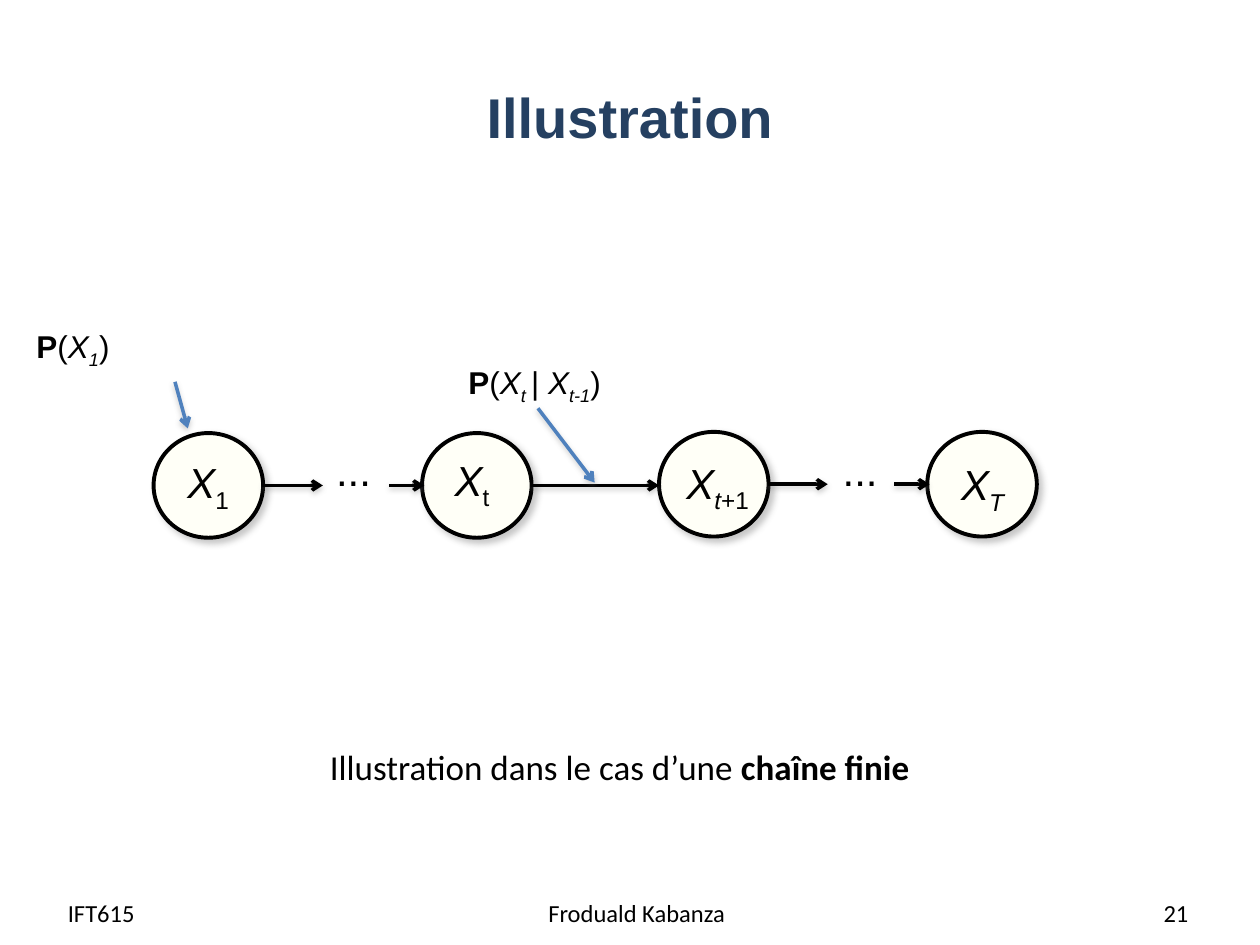
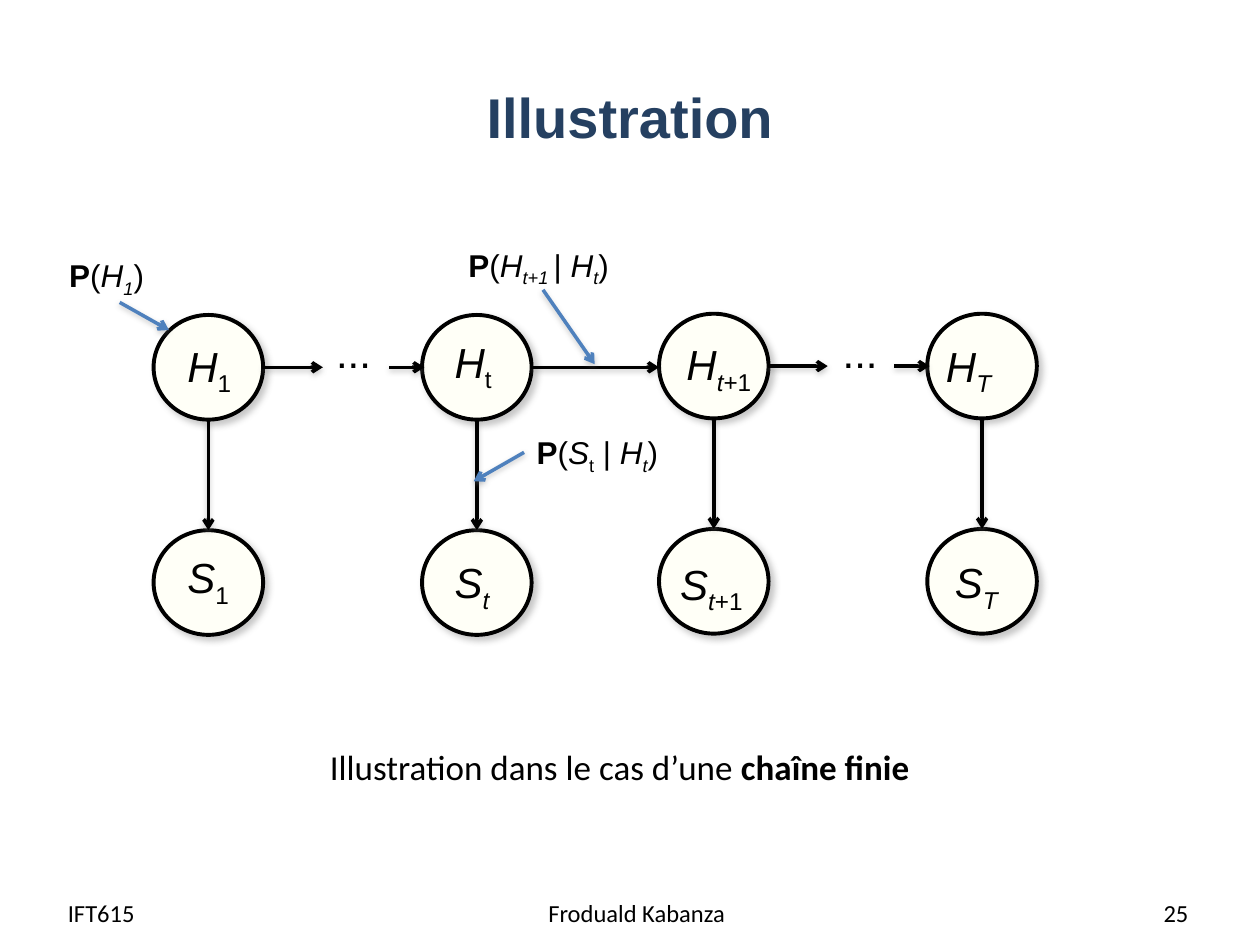
from lxml.etree import SubElement
from pptx import Presentation
from pptx.dml.color import RGBColor
from pptx.enum.shapes import MSO_CONNECTOR as CONNECTOR, MSO_SHAPE as SHAPE
from pptx.enum.text import MSO_ANCHOR as ANCHOR, PP_ALIGN as ALIGN
from pptx.oxml.ns import qn
from pptx.util import Pt

COLORS = {"title": "254061", "ink": "000000", "node": "FFFFF7",
          "pointer": "4F81BD", "shadow": "808080"}
COLORS = {name: RGBColor.from_string(value) for name, value in COLORS.items()}

# Shared geometry of the chain, in points
NODE_WIDTH, NODE_HEIGHT = 62.6, 59.8
COLUMNS = [(87.8, 0), (241.2, 0), (376.6, -0.7), (529.9, -0.7)]  # left, lift
LINKS = [(150, 184.5, 0), (222.5, 242.5, 0), (303.6, 376.6, 0),
         (438.6, 473, -0.7), (511, 531.2, -0.7)]  # start, end, lift
DOTS = [185, 474.5]
LABEL_WIDTH = 54.7

# Run styles: b bold, i italic, _ subscript
ONE, SMALL_T, ITALIC_T = [("1", "_")], [("t", "_")], [("t", "i_")]
NEXT_T, LAST_T = [("t", "i_"), ("+1", "_")], [("T", "i_")]
CAPTION = [("Illustration dans le cas d’une ", ""), ("chaîne finie", "b")]

# Rows: letter, top, then left, offset from the row top and index of each label
# Callouts: left, top, width, runs. Pointers: start and end
SLIDES = [
    {
        "number": "21",
        "rows": [("X", 247.5, [(100, 10.1, ONE), (252.7, 8.6, SMALL_T),
                               (385.2, 10.3, NEXT_T), (542.2, 11, LAST_T)])],
        "callouts": [
            (260.6, 203.8, 93.6, [("X", "i"), ("t ", "i_"), ("| ", ""), ("X", "i"), ("t-1", "i_")]),
            (13.7, 183.6, 57.6, [("X", "i"), ("1", "i_")]),
        ],
        "pointers": [(100, 218.2, 107.3, 244.8), (307.4, 233.3, 339.8, 275.8)],
    },
    {
        "number": "25",
        "rows": [("H", 180, [(100, 10.8, ONE), (252.7, 8.6, SMALL_T),
                             (385.2, 10.1, NEXT_T), (533.5, 10.8, LAST_T)]),
                 ("S", 303, [(100, 8.8, ONE), (252.7, 11.6, ITALIC_T),
                             (381.6, 12.4, NEXT_T), (538.6, 11.6, LAST_T)])],
        "callouts": [
            (260.6, 136.8, 98.6, [("H", "i"), ("t+1 ", "i_"), ("| ", ""), ("H", "i"), ("t", "i_")]),
            (32.4, 142.6, 58.3, [("H", "i"), ("1", "i_")]),
            (299.5, 244.1, 85.7, [("S", "i"), ("t", "_"), (" | ", ""), ("H", "i"), ("t", "i_")]),
        ],
        "pointers": [(68.4, 172.8, 96.5, 188.6), (310.3, 165.6, 339.8, 208.1),
                     (299.5, 258.5, 270.7, 275)],
    },
]


def add_text(box, runs, size, font="Arial", color="ink", align=ALIGN.LEFT,
             anchor=ANCHOR.TOP, wrap=True):
    """Add a text box at box (left, top, width, height) with styled runs."""
    frame = slide.shapes.add_textbox(*map(Pt, box)).text_frame
    frame.word_wrap = wrap
    frame.vertical_anchor = anchor
    paragraph = frame.paragraphs[0]
    paragraph.alignment = align
    for text, style in runs:
        run = paragraph.add_run()
        run.text = text
        run.font.name, run.font.size = font, Pt(size)
        run.font.color.rgb = COLORS[color]
        run.font.bold, run.font.italic = "b" in style, "i" in style
        if "_" in style:
            run._r.get_or_add_rPr().set("baseline", "-25000")


def finish(shape, color, width, blur, distance, angle, opacity):
    """Set the outline of a shape or connector and give it a soft shadow."""
    shape.line.color.rgb = COLORS[color]
    shape.line.width = Pt(width)
    effects = SubElement(shape.element.spPr, qn("a:effectLst"))
    shadow = SubElement(effects, qn("a:outerShdw"), blurRad=str(Pt(blur)),
                        dist=str(Pt(distance)), dir=str(angle * 60000),
                        algn="ctr", rotWithShape="0")
    tint = SubElement(shadow, qn("a:srgbClr"), val=str(COLORS["shadow"]))
    SubElement(tint, qn("a:alpha"), val=str(opacity * 1000))


presentation = Presentation()
presentation.slide_width, presentation.slide_height = Pt(720), Pt(540)

for content in SLIDES:
    slide = presentation.slides.add_slide(presentation.slide_layouts[6])
    add_text((36, 21.6, 648, 90), [("Illustration", "b")], 32, color="title",
             align=ALIGN.CENTER, anchor=ANCHOR.MIDDLE)
    for left, width, text, align in [
            (31.7, 139, "IFT615", ALIGN.LEFT),
            (249.8, 228.2, "Froduald Kabanza", ALIGN.CENTER),
            (518.4, 167.8, content["number"], ALIGN.RIGHT)]:
        add_text((left, 506.9, width, 28.8), [(text, "")], 14, "Calibri",
                 align=align, anchor=ANCHOR.MIDDLE)
    add_text((181.4, 422.6, 356.4, 31.7), CAPTION, 20, "Calibri")

    for letter, top, labels in content["rows"]:
        for left, lift in COLUMNS:
            node = slide.shapes.add_shape(SHAPE.OVAL, Pt(left), Pt(top + lift),
                                          Pt(NODE_WIDTH), Pt(NODE_HEIGHT))
            node.fill.solid()
            node.fill.fore_color.rgb = COLORS["node"]
            finish(node, "ink", 2.25, 4, 3, 45, 43)

    tops = [top for letter, top, labels in content["rows"]]
    middle = tops[0] + NODE_HEIGHT / 2
    arrows = [("ink", start, middle + lift, end, middle + lift)
              for start, end, lift in LINKS]
    for upper, lower in zip(tops, tops[1:]):
        for left, lift in COLUMNS:
            center = left + NODE_WIDTH / 2
            arrows.append(("ink", center, upper + NODE_HEIGHT + lift, center, lower + lift))
    arrows += [("pointer", *ends) for ends in content["pointers"]]
    for color, *ends in arrows:
        arrow = slide.shapes.add_connector(CONNECTOR.STRAIGHT, *map(Pt, ends))
        finish(arrow, color, 2, 3.1, 1.6, 90, 38)
        SubElement(arrow.get_or_add_ln(), qn("a:tailEnd"), type="arrow")

    for left in DOTS:
        add_text((left, tops[0] + 3, 38.9, 36.4), [("...", "")], 24)
    for letter, top, labels in content["rows"]:
        for left, offset, index in labels:
            add_text((left, top + offset, LABEL_WIDTH, 36.4), [(letter, "i"), *index], 24)
    for left, top, width, runs in content["callouts"]:
        add_text((left, top, width, 28.8), [("P", "b"), ("(", ""), *runs, (")", "")],
                 18, wrap=False)

presentation.save("out.pptx")
